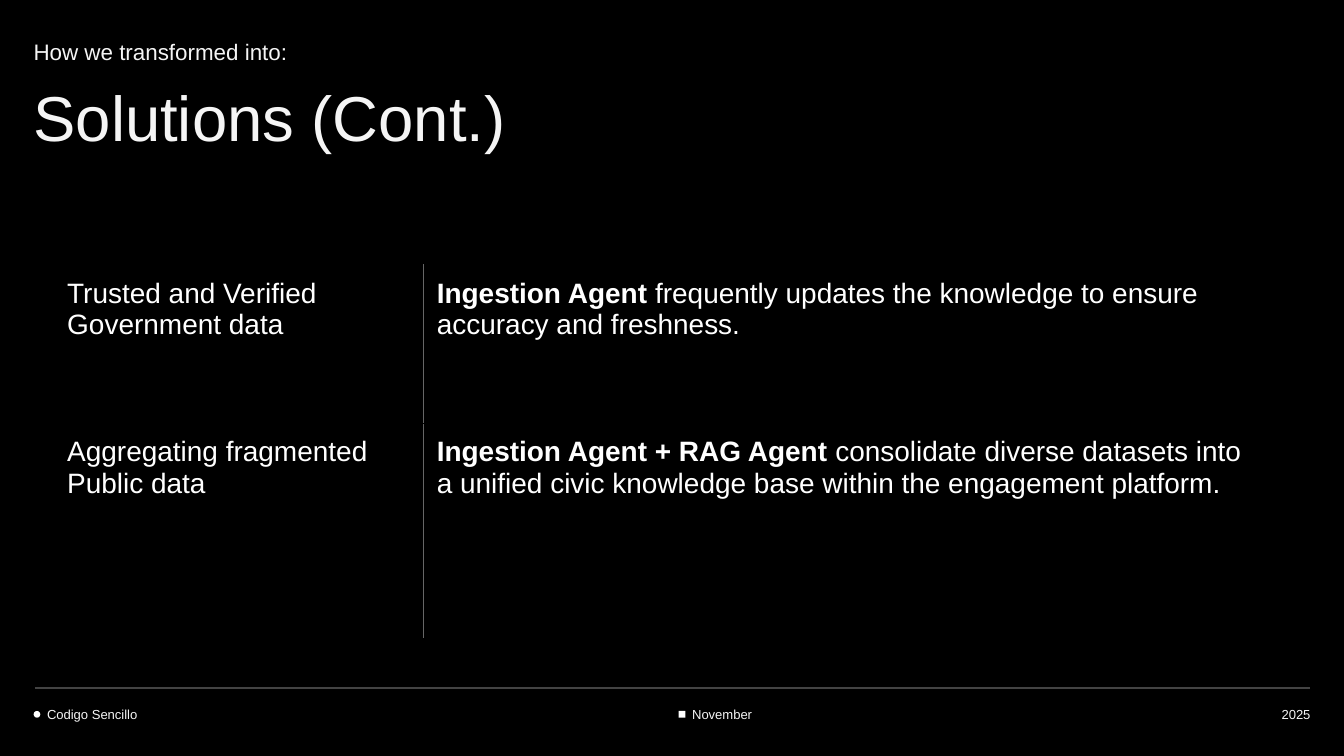
from collections import namedtuple

from lxml.etree import SubElement
from pptx import Presentation
from pptx.dml.color import RGBColor
from pptx.enum.shapes import MSO_CONNECTOR as Connector, MSO_SHAPE as Shape
from pptx.enum.text import MSO_ANCHOR as Anchor, MSO_AUTO_SIZE as AutoSize, PP_ALIGN as Align
from pptx.oxml.ns import qn
from pptx.util import Inches, Pt

BLACK = RGBColor(0x00, 0x00, 0x00)
WHITE = RGBColor(0xFF, 0xFF, 0xFF)
OFF_WHITE = RGBColor(0xF5, 0xF5, 0xF5)
RULE_GRAY = RGBColor(0x43, 0x43, 0x43)
DIVIDER_GRAY = RGBColor(0x66, 0x66, 0x66)

FONT = "Arial"
SLIDE_W = 10
SLIDE_H = SLIDE_W * 9 / 16
MARGIN = 0.25
CONTENT_W = SLIDE_W - 2 * MARGIN

Box = namedtuple("Box", "left top width height")

# Each solution: lines of the need, the agent, what the agent does
SOLUTIONS = [
    (["Trusted and Verified", "Government data"],
     "Ingestion Agent ",
     "frequently updates the knowledge to ensure accuracy and freshness."),
    (["Aggregating fragmented", "Public data"],
     "Ingestion Agent + RAG Agent ",
     "consolidate diverse datasets into a unified civic knowledge base "
     "within the engagement platform."),
]


def emu(box):
    return [Inches(length) for length in box]


def style(paragraph, size, color, spacing=1.0, align=Align.LEFT):
    paragraph.alignment = align
    paragraph.line_spacing = spacing
    paragraph.space_before = Pt(0)
    font = paragraph.font
    font.name, font.size, font.bold = FONT, Pt(size), False
    font.color.rgb = color


def fill_text(holder, box, text, size, spacing=1.15, align=Align.LEFT,
              anchor=Anchor.TOP, end_inset=0, fit=AutoSize.TEXT_TO_FIT_SHAPE):
    """Place a placeholder or text box and give it one styled line."""
    holder.left, holder.top, holder.width, holder.height = emu(box)
    frame = holder.text_frame
    frame.text = text
    frame.word_wrap = True
    frame.auto_size = fit
    frame.vertical_anchor = anchor
    frame.margin_left = frame.margin_top = 0
    frame.margin_right = frame.margin_bottom = Inches(end_inset)
    style(frame.paragraphs[0], size, OFF_WHITE, spacing, align)


def add_heading(slide, box):
    kicker_w, kicker_h = 0.75 * box.width, 0.25
    title_top = 0.42
    fill_text(slide.shapes.title,
              Box(box.left, box.top + title_top, box.width, box.height - title_top),
              "Solutions (Cont.)", 34, spacing=0.85, end_inset=0.1,
              fit=AutoSize.SHAPE_TO_FIT_TEXT)
    fill_text(slide.placeholders[1], Box(box.left, box.top, kicker_w, kicker_h),
              "How we transformed into:", 12)


def set_borders(cell, **colors):
    """Draw cell borders in schema order: left, right, top, bottom."""
    properties = cell._tc.get_or_add_tcPr()
    for side in ("L", "R", "T", "B"):
        line = SubElement(properties, qn(f"a:ln{side}"), w=str(Pt(0.75)))
        fill = SubElement(line, qn("a:solidFill"))
        SubElement(fill, qn("a:srgbClr"), val=str(colors.get(side, BLACK)))


def style_cell(cell, divider_side):
    cell.margin_left = cell.margin_right = Inches(0.1)
    cell.margin_top = cell.margin_bottom = Inches(0.1)
    set_borders(cell, **{divider_side: DIVIDER_GRAY})
    cell.fill.background()
    for paragraph in cell.text_frame.paragraphs:
        style(paragraph, 15, WHITE)


def add_solutions(slide, box):
    need_w, first_row_h = 2.75, 1.18
    table = slide.shapes.add_table(len(SOLUTIONS), 2, *emu(box)).table
    table.first_row = table.horz_banding = False
    for column, width in zip(table.columns, (need_w, box.width - need_w)):
        column.width = Inches(width)
    for row, height in zip(table.rows, (first_row_h, box.height - first_row_h)):
        row.height = Inches(height)

    for row, (need_lines, agent, action) in zip(table.rows, SOLUTIONS):
        need, answer = row.cells
        need.text = "\n".join(need_lines)
        paragraph = answer.text_frame.paragraphs[0]
        agent_run = paragraph.add_run()
        agent_run.text = agent
        agent_run.font.bold = True
        paragraph.add_run().text = action
        style_cell(need, "R")
        style_cell(answer, "L")


def add_footer(slide, box):
    # Rule across the top
    rule = slide.shapes.add_connector(
        Connector.STRAIGHT, Inches(box.left + 0.01), Inches(box.top),
        Inches(box.left + box.width), Inches(box.top))
    rule.line.color.rgb = RULE_GRAY
    rule.line.width = Pt(0.75)
    SubElement(rule._element.spPr, qn("a:effectLst"))

    # Markers and labels: left edge, marker, label, alignment
    marker_size, label_gap, label_w = 0.05, 0.1, 2.25
    middle = box.left + box.width / 2 + 0.05
    entries = [
        (box.left, Shape.OVAL, "Codigo Sencillo", Align.LEFT),
        (middle, Shape.RECTANGLE, "November", Align.LEFT),
        (box.left + box.width, None, "2025", Align.RIGHT),
    ]
    for x, marker_kind, label, align in entries:
        if marker_kind is None:
            label_left = x - label_w
        else:
            label_left = x + label_gap
            marker = slide.shapes.add_shape(marker_kind, *emu(
                Box(x, box.top + 0.17, marker_size, marker_size)))
            marker.shadow.inherit = False
            marker.fill.solid()
            marker.fill.fore_color.rgb = WHITE
            marker.line.fill.background()
        area = Box(label_left, box.top, label_w, box.height)
        fill_text(slide.shapes.add_textbox(*emu(area)), area, label, 7,
                  align=align, anchor=Anchor.BOTTOM)


def main():
    deck = Presentation()
    deck.slide_width, deck.slide_height = Inches(SLIDE_W), Inches(SLIDE_H)
    slide = deck.slides.add_slide(deck.slide_layouts[0])
    slide.background.fill.solid()
    slide.background.fill.fore_color.rgb = BLACK

    add_heading(slide, Box(MARGIN, MARGIN, 4.27, 1.01))
    add_solutions(slide, Box(0.4, 0.35 * SLIDE_H, 9.1, 2.78))
    add_footer(slide, Box(MARGIN, 5.12, CONTENT_W, 0.25))
    deck.save("out.pptx")


if __name__ == "__main__":
    main()
